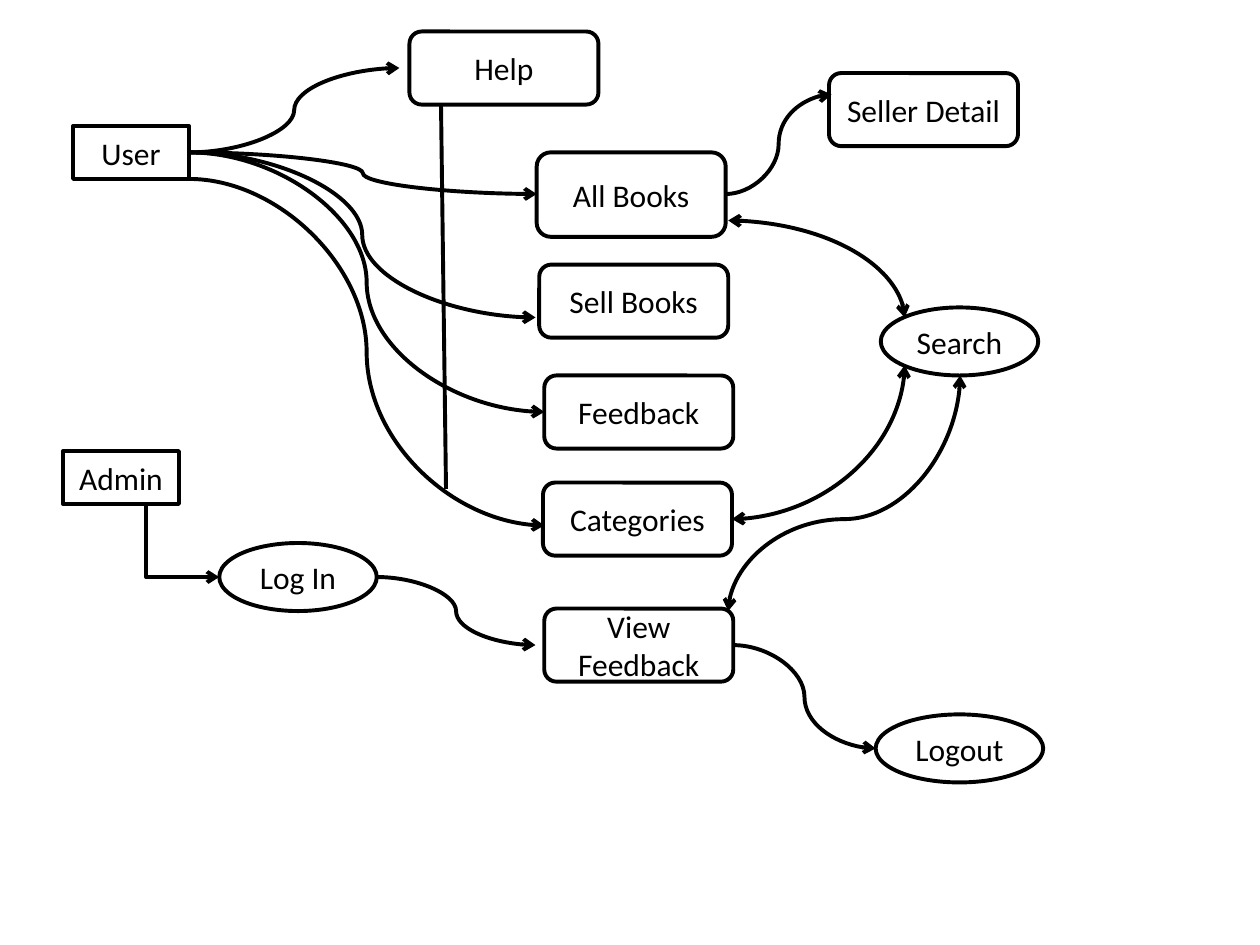
from dataclasses import dataclass

from lxml.etree import SubElement
from pptx import Presentation
from pptx.dml.color import RGBColor
from pptx.enum.shapes import MSO_CONNECTOR, MSO_SHAPE
from pptx.enum.text import MSO_ANCHOR, PP_ALIGN
from pptx.oxml.ns import qn
from pptx.util import Inches, Pt


@dataclass(frozen=True)
class Theme:
    ink: RGBColor = RGBColor(0, 0, 0)
    paper: RGBColor = RGBColor(255, 255, 255)
    font: str = "Calibri"
    size: Pt = Pt(18)
    line: Pt = Pt(2.25)


THEME = Theme()
RECT, ROUND, OVAL = MSO_SHAPE.RECTANGLE, MSO_SHAPE.ROUNDED_RECTANGLE, MSO_SHAPE.OVAL
CURVE, ELBOW, STRAIGHT = MSO_CONNECTOR.CURVE, MSO_CONNECTOR.ELBOW, MSO_CONNECTOR.STRAIGHT

# Usual size of each kind of node
SIZES = {RECT: (0.92, 0.42), ROUND: (1.5, 0.58), OVAL: (1.25, 0.54)}

# Kind, label, left, top, and a size where it differs
NODES = [
    (RECT, "User", 0.58, 1),
    (RECT, "Admin", 0.5, 3.58),
    (ROUND, "Seller Detail", 6.58, 0.58),
    (ROUND, "Sell Books", 4.28, 2.1),
    (ROUND, "Help", 3.25, 0.25),
    (ROUND, "Feedback", 4.32, 2.98),
    (ROUND, "Categories", 4.31, 3.83),
    (ROUND, "View Feedback", 4.32, 4.83),
    (OVAL, "Log In", 1.74, 4.31),
    (OVAL, "Logout", 6.95, 5.67, (1.33, 0.54)),
    (OVAL, "Search", 6.99, 2.44),
    (ROUND, "All Books", 4.26, 1.21, (1.5, 0.67)),
]

# One-way arrows: kind, start, end
USER_PORT = (1.5, 1.21)
ARROWS = [
    (CURVE, USER_PORT, (3.17, 0.54)),     # Help
    (CURVE, USER_PORT, (4.26, 1.54)),     # All Books
    (CURVE, USER_PORT, (4.25, 2.52)),     # Sell Books
    (CURVE, USER_PORT, (4.32, 3.27)),     # Feedback
    (CURVE, (1.5, 1.42), (4.32, 4.17)),   # Categories
    (CURVE, (5.76, 1.54), (6.6, 0.75)),   # Seller Detail
    (ELBOW, (0.58, 4), (1.74, 4.58)),     # Log In
    (CURVE, (2.99, 4.58), (4.25, 5.12)),  # View Feedback
    (CURVE, (5.82, 5.12), (6.95, 5.94)),  # Logout
]

# Two-way quarter curves that end at Search
SEARCH_LINKS = [
    ((5.78, 1.75), (7.18, 2.52)),
    ((5.81, 4.12), (7.18, 2.9)),
]


def add_node(s, kind, label, left, top, size=None):
    width, height = size or SIZES[kind]
    sp = s.shapes.add_shape(kind, Inches(left), Inches(top), Inches(width), Inches(height))
    sp.shadow.inherit = False
    sp.fill.solid()
    sp.fill.fore_color.rgb = THEME.paper
    sp.line.color.rgb = THEME.ink
    sp.line.width = THEME.line
    tf = sp.text_frame
    tf.word_wrap = True
    tf.vertical_anchor = MSO_ANCHOR.MIDDLE
    p = tf.paragraphs[0]
    p.alignment = PP_ALIGN.CENTER
    r = p.add_run()
    r.text = label
    r.font.name = THEME.font
    r.font.size = THEME.size
    r.font.color.rgb = THEME.ink


def add_link(s, kind, start, end, ends=("tailEnd",)):
    cx = s.shapes.add_connector(kind, *(Inches(v) for v in (*start, *end)))
    cx.line.color.rgb = THEME.ink
    cx.line.width = THEME.line
    ln = cx.line._get_or_add_ln()
    for name in ends:
        SubElement(ln, qn(f"a:{name}"), type="arrow")
    SubElement(cx.element.spPr, qn("a:effectLst"))
    return cx


def add_two_way(s, start, end):
    cx = add_link(s, CURVE, start, end, ("headEnd", "tailEnd"))
    return cx.element.spPr


def add_quarter_curve(s, start, end):
    add_two_way(s, start, end).find(qn("a:prstGeom")).set("prst", "curvedConnector2")


def add_turned_curve(s, start, end, bend):
    """S-curve turned 90 degrees, so that it leaves and arrives vertically."""
    (x1, y1), (x2, y2) = start, end
    mid_x, mid_y = (x1 + x2) / 2, (y1 + y2) / 2
    half_w, half_h = abs(y2 - y1) / 2, abs(x2 - x1) / 2
    spPr = add_two_way(s, (mid_x - half_w, mid_y - half_h), (mid_x + half_w, mid_y + half_h))
    spPr.find(qn("a:xfrm")).set("rot", str(90 * 60000))
    geom = spPr.find(qn("a:prstGeom"))
    av = geom.find(qn("a:avLst"))
    if av is None:
        av = SubElement(geom, qn("a:avLst"))
    SubElement(av, qn("a:gd"), name="adj1", fmla=f"val {round(bend * 100000)}")


def main():
    prs = Presentation()
    prs.slide_width, prs.slide_height = Inches(10), Inches(7.5)
    s = prs.slides.add_slide(prs.slide_layouts[6])

    # Pages and actors
    for node in NODES:
        add_node(s, *node)

    # Navigation
    for arrow in ARROWS:
        add_link(s, *arrow)
    add_link(s, STRAIGHT, (3.5, 0.83), (3.54, 3.88), ends=())

    # Search links
    for start, end in SEARCH_LINKS:
        add_quarter_curve(s, start, end)
    add_turned_curve(s, (7.62, 2.98), (5.78, 4.85), bend=0.61)

    prs.save("out.pptx")


main()
